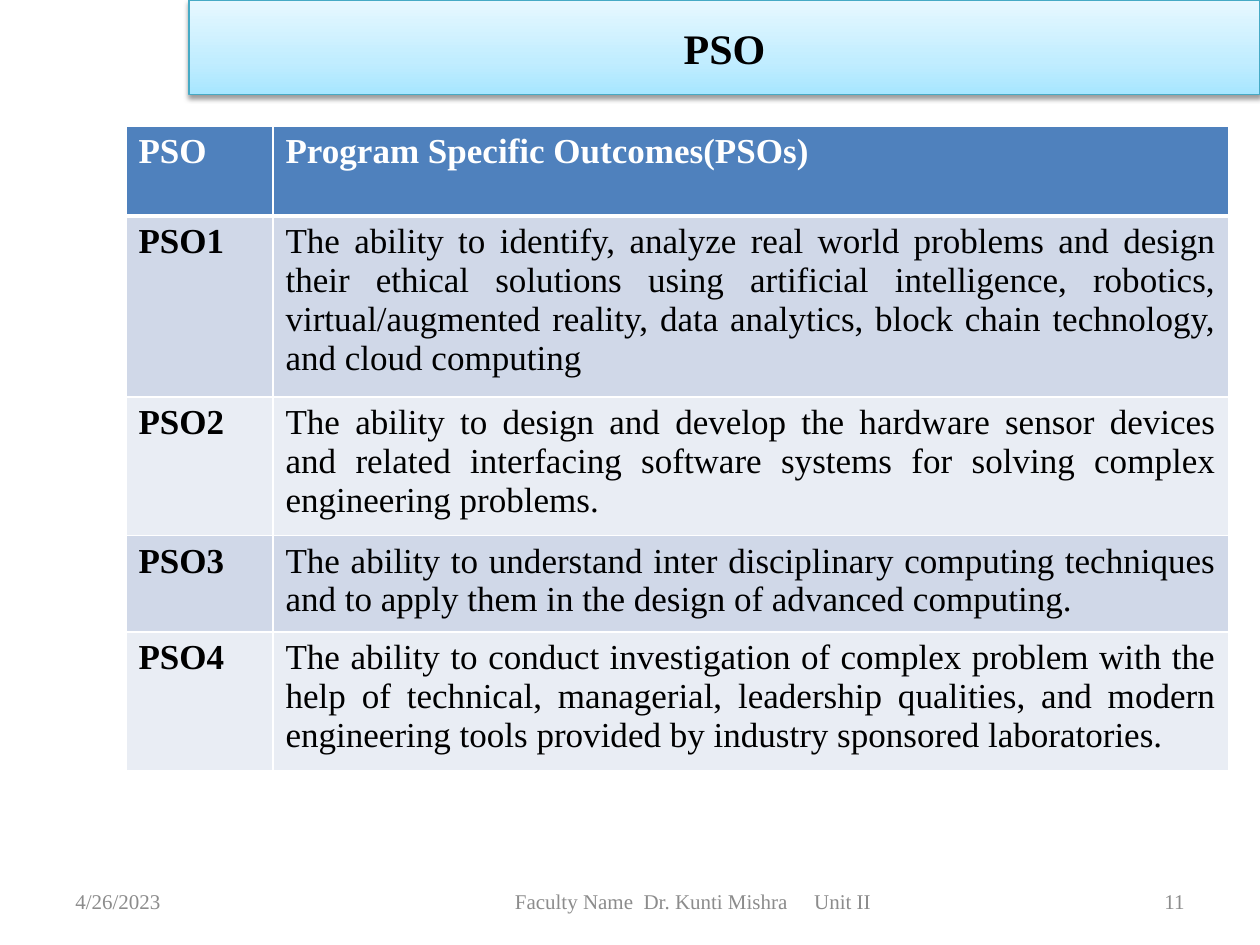
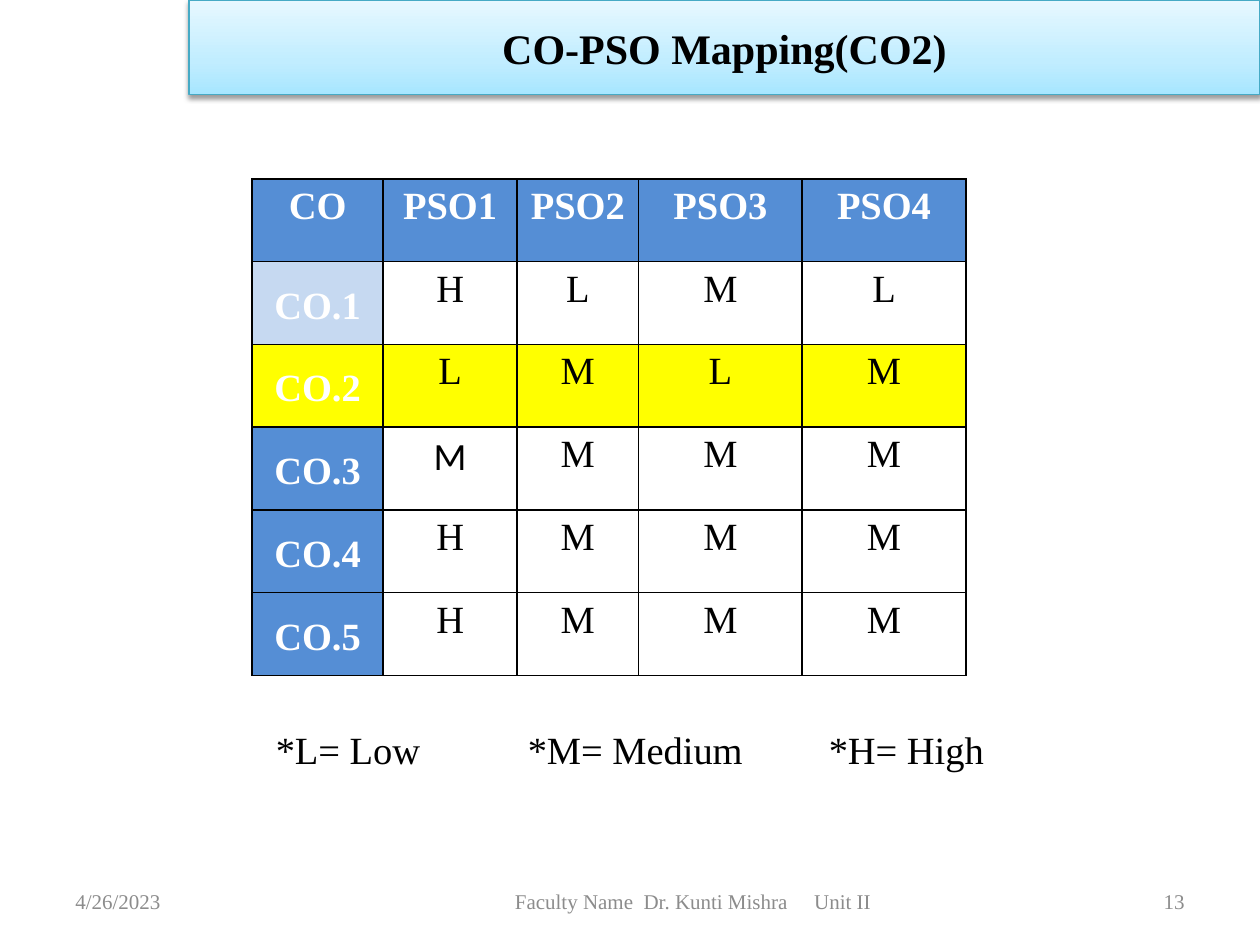
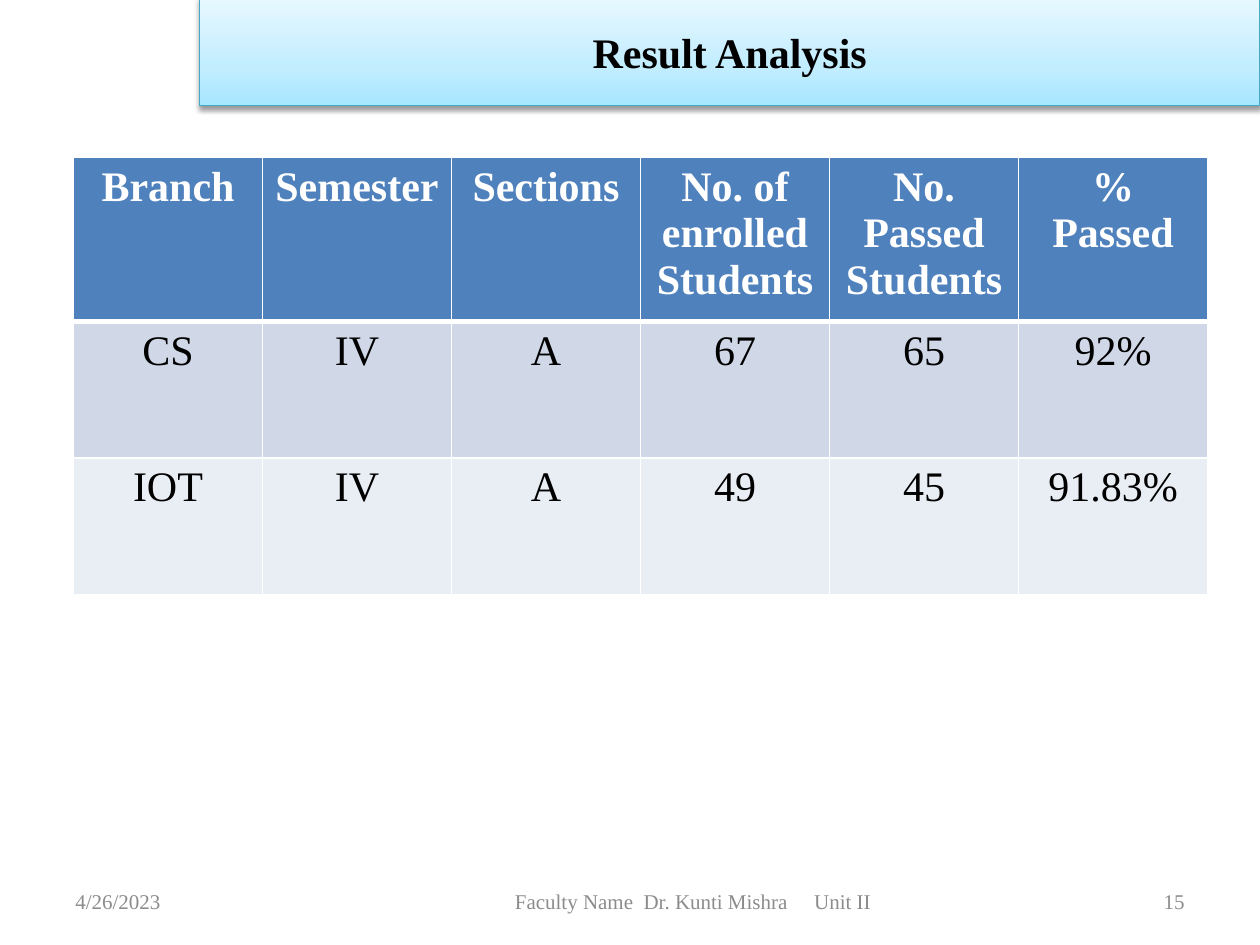
import pptx
import pptx.dml.color
import pptx.enum.shapes
import pptx.enum.text
import pptx.oxml
import pptx.oxml.ns
import pptx.util

Pt = pptx.util.Pt
ALIGN = pptx.enum.text.PP_ALIGN
ANCHOR = pptx.enum.text.MSO_ANCHOR
SERIF = "Times New Roman"
WHITE, BLACK, GREY = "FFFFFF", "000000", "8C8C8C"
HEADER_BLUE, BAND_DARK, BAND_LIGHT = "4F81BD", "D0D8E8", "E9EDF4"
MAPPING_BLUE, PALE_BLUE, YELLOW = "558ED5", "C6D9F1", "FFFF00"
TITLE_LINE = "46AAC5"
TITLE_STOPS = [(0, "A7E6FF"), (35, "C1EDFF"), (100, "E7F8FF")]
TITLE_BOX = (108, 0, 612, 54)
FOOTER_BOX = (36, 500.4, 648, 28.8)

OUTCOMES = [
    ("PSO", "Program Specific Outcomes(PSOs)"),
    ("PSO1", "The ability to identify, analyze real world problems and design their ethical solutions using "
             "artificial intelligence, robotics, virtual/augmented reality, data analytics, block chain "
             "technology, and cloud computing"),
    ("PSO2", "The ability to design and develop the hardware sensor devices and related interfacing software "
             "systems for solving complex engineering problems."),
    ("PSO3", "The ability to understand inter disciplinary computing techniques and to apply them in the "
             "design of advanced computing."),
    ("PSO4", "The ability to conduct investigation of complex problem with the help of technical, managerial, "
             "leadership qualities, and modern engineering tools provided by industry sponsored laboratories."),
]
MAPPING = [
    ("CO", "PSO1", "PSO2", "PSO3", "PSO4"),
    ("CO.1", "H", "L", "M", "L"),
    ("CO.2", "L", "M", "L", "M"),
    ("CO.3", "M", "M", "M", "M"),
    ("CO.4", "H", "M", "M", "M"),
    ("CO.5", "H", "M", "M", "M"),
]
RESULTS = [
    ("Branch", "Semester", "Sections", "No. of enrolled Students", "No. Passed Students", "% Passed"),
    ("CS", "IV", "A", "67", "65", "92%"),
    ("IOT", "IV", "A", "49", "45", "91.83%"),
]


def color(value):
    return pptx.dml.color.RGBColor.from_string(value)


def set_attributes(target, values):
    for name, value in values.items():
        setattr(target, name, value)


def parse_xml(markup):
    return pptx.oxml.parse_xml(markup.replace(">", f" {pptx.oxml.ns.nsdecls('a')}>", 1))


def write(text_frame, text, size, text_color, bold=False, font=SERIF, tabs=(), **paragraph_format):
    paragraph = text_frame.paragraphs[0]
    paragraph.text = text
    if tabs:
        stops = "".join(f'<a:tab pos="{Pt(position)}" algn="l"/>' for position in tabs)
        paragraph._p.get_or_add_pPr().append(parse_xml(f"<a:tabLst>{stops}</a:tabLst>"))
    set_attributes(paragraph, paragraph_format)
    run_font = paragraph.runs[0].font
    set_attributes(run_font, {"name": font, "size": Pt(size), "bold": bold})
    run_font.color.rgb = color(text_color)


def add_text(slide, box, text, size, text_color, margin_left=7.2, **text_format):
    text_frame = slide.shapes.add_textbox(*map(Pt, box)).text_frame
    set_attributes(text_frame, {
        "word_wrap": True, "vertical_anchor": ANCHOR.MIDDLE, "margin_left": Pt(margin_left)})
    write(text_frame, text, size, text_color, **text_format)


def add_title_band(slide, box, title):
    band = slide.shapes.add_shape(pptx.enum.shapes.MSO_SHAPE.RECTANGLE, *map(Pt, box))
    band.line.color.rgb = color(TITLE_LINE)
    band.line.width = Pt(0.75)
    band.shadow.inherit = False
    stops = "".join(f'<a:gs pos="{position * 1000}"><a:srgbClr val="{value}"/></a:gs>'
                    for position, value in TITLE_STOPS)
    properties = band._element.spPr
    properties.find(pptx.oxml.ns.qn("a:prstGeom")).addnext(parse_xml(
        f'<a:gradFill rotWithShape="1"><a:gsLst>{stops}</a:gsLst>'
        '<a:lin ang="16200000" scaled="0"/></a:gradFill>'))
    properties.find(pptx.oxml.ns.qn("a:effectLst")).append(parse_xml(
        f'<a:outerShdw blurRad="{Pt(3.1)}" dist="{Pt(1.6)}" dir="5400000" rotWithShape="0">'
        f'<a:srgbClr val="{BLACK}"><a:alpha val="38000"/></a:srgbClr></a:outerShdw>'))
    band.text_frame.vertical_anchor = ANCHOR.MIDDLE
    write(band.text_frame, title, 24, BLACK, bold=True, alignment=ALIGN.CENTER)


def add_footer(slide, box, number):
    left, top, width, height = box
    side = 168
    add_text(slide, (left, top, side, height), "4/26/2023", 12, GREY)
    add_text(slide, (left + 162, top, 396, height), "Faculty Name  Dr. Kunti Mishra\tUnit II", 12, GREY,
             margin_left=96.3, tabs=[171])
    add_text(slide, (left + width - side, top, side, height), str(number), 12, GREY, alignment=ALIGN.RIGHT)


def set_borders(cell, border_color, widths):
    properties = cell._tc.get_or_add_tcPr()
    for index, (edge, width) in enumerate(widths.items()):
        properties.insert(index, parse_xml(
            f'<a:{edge} w="{Pt(width)}"><a:solidFill><a:srgbClr val="{border_color}"/></a:solidFill></a:{edge}>'))


def add_grid(slide, position, widths, heights, rows, border_color, header_rule, cell_style):
    frame = slide.shapes.add_table(len(rows), len(widths), *map(Pt, (*position, sum(widths), sum(heights))))
    table = frame.table
    set_attributes(table, {"first_row": False, "horz_banding": False})
    for column, width in zip(table.columns, widths):
        column.width = Pt(width)
    for row_index, (row, height) in enumerate(zip(rows, heights)):
        table.rows[row_index].height = Pt(height)
        for column_index, text in enumerate(row):
            cell = table.cell(row_index, column_index)
            fill, cell_format, text_format = cell_style(row_index, column_index)
            if fill:
                cell.fill.solid()
                cell.fill.fore_color.rgb = color(fill)
            else:
                cell.fill.background()
            set_attributes(cell, cell_format)
            write(cell.text_frame, text, **text_format)
            set_borders(cell, border_color, {
                "lnL": 1, "lnR": 1,
                "lnT": header_rule if row_index == 1 else 1,
                "lnB": header_rule if row_index == 0 else 1})


def banded_style(row, size, bold, alignment):
    fill = HEADER_BLUE if row == 0 else (BAND_LIGHT, BAND_DARK)[row % 2]
    return fill, {}, {"size": size, "text_color": BLACK if row else WHITE,
                      "bold": bold or row == 0, "alignment": alignment}


def outcome_style(row, column):
    justified = row > 0 and column > 0
    return banded_style(row, 20, column == 0, ALIGN.JUSTIFY if justified else ALIGN.LEFT)


def result_style(row, column):
    return banded_style(row, 24, False, ALIGN.CENTER)


def mapping_style(row, column):
    heading = row == 0 or column == 0
    fill = MAPPING_BLUE if heading else None
    if row == 2:
        fill = YELLOW
    elif (row, column) == (1, 0):
        fill = PALE_BLUE
    cell_format = {
        "margin_left": Pt(5), "margin_right": Pt(5), "margin_top": 0, "margin_bottom": 0,
        "vertical_anchor": ANCHOR.MIDDLE if row and column == 0 else ANCHOR.TOP}
    text_format = {
        "size": 22, "text_color": WHITE if heading else BLACK, "bold": heading,
        "font": "Calibri" if (row, column) == (3, 1) else SERIF,
        "alignment": ALIGN.CENTER, "line_spacing": 1.15}
    return fill, cell_format, text_format


def add_base_slide(presentation, title, number, title_box=TITLE_BOX):
    slide = presentation.slides.add_slide(presentation.slide_layouts[6])
    add_footer(slide, FOOTER_BOX, number)
    add_title_band(slide, title_box, title)
    return slide


def add_outcomes_slide(presentation):
    slide = add_base_slide(presentation, "PSO", 11)
    add_grid(slide, (72, 72), [84, 546], [51.5, 95.5, 73.7, 51.5, 73.7], OUTCOMES, WHITE, 3, outcome_style)


def add_mapping_slide(presentation):
    slide = add_base_slide(presentation, "CO-PSO Mapping(CO2)", 13)
    add_grid(slide, (144, 102.2), [75, 76.5, 69.5, 93.5, 93.5], [47.3] * len(MAPPING), MAPPING,
             BLACK, 1, mapping_style)
    add_text(slide, (150.5, 412, 450, 32), "*L= Low\t*M= Medium\t*H= High", 22, BLACK, tabs=[144, 316])


def add_results_slide(presentation):
    slide = add_base_slide(presentation, "Result Analysis", 15, (114, -1.5, 606, 62))
    add_grid(slide, (42, 90), [108] * 6, [86.5, 78, 78], RESULTS, WHITE, 3, result_style)


def main():
    presentation = pptx.Presentation()
    set_attributes(presentation, {"slide_width": Pt(720), "slide_height": Pt(540)})
    add_outcomes_slide(presentation)
    add_mapping_slide(presentation)
    add_results_slide(presentation)
    presentation.save("out.pptx")


if __name__ == "__main__":
    main()
